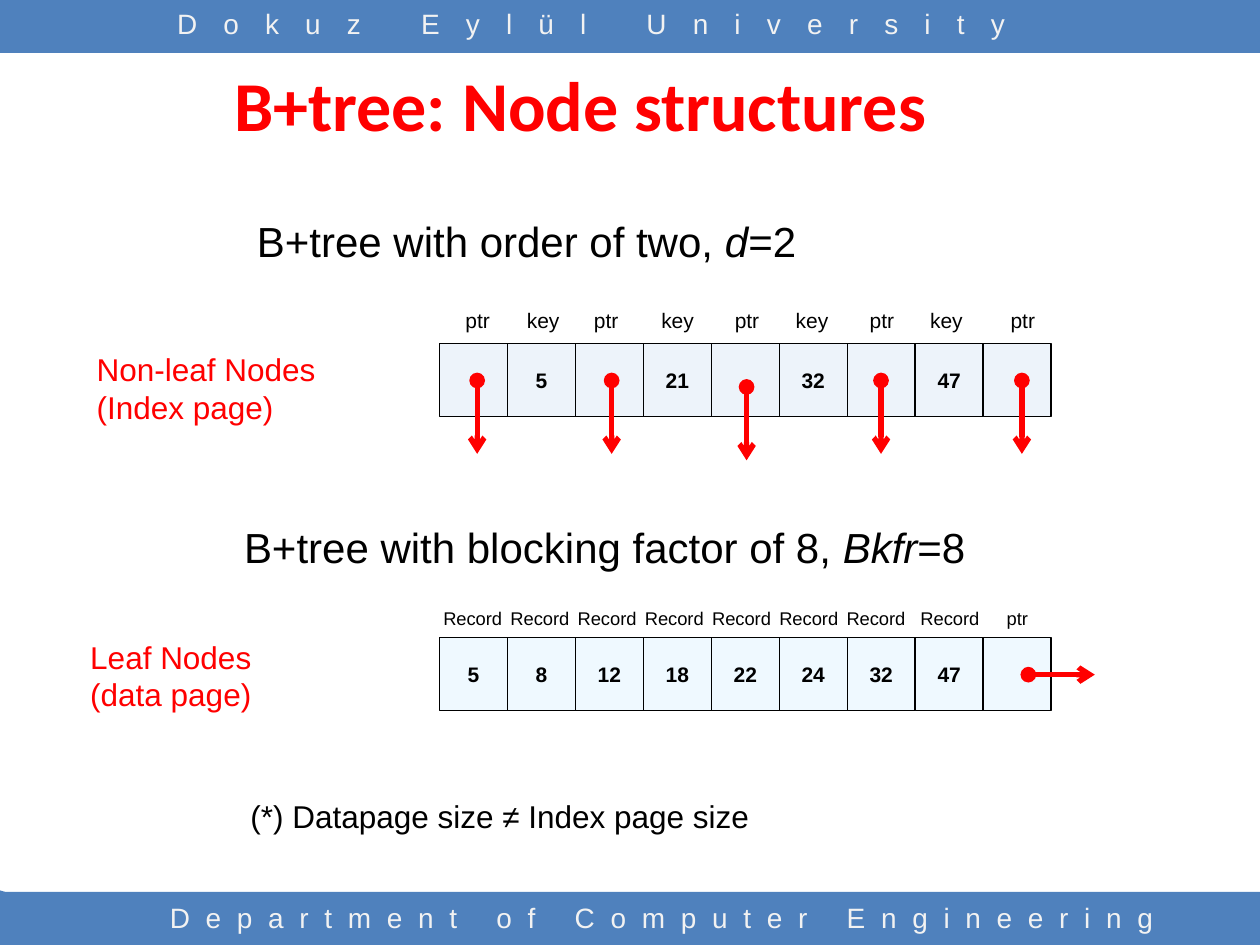
import pptx
import pptx.util
import pptx.dml.color
import pptx.enum.shapes
import pptx.enum.text
import pptx.oxml
import pptx.oxml.ns
import lxml.etree

Cm, Pt = pptx.util.Cm, pptx.util.Pt
RECT = pptx.enum.shapes.MSO_SHAPE.RECTANGLE
MID = pptx.enum.text.MSO_ANCHOR.MIDDLE
qn = pptx.oxml.ns.qn
BLUE, RED, BLACK, PALE = "4F81BD", "FF0000", "000000", "F2F2F2"


def paint(fill, color, alpha=None):
    """Set a solid colour; alpha is the opacity in percent."""
    fill.solid()
    fill.fore_color.rgb = pptx.dml.color.RGBColor.from_string(color)
    if alpha:
        clr = fill._xPr.find(qn("a:solidFill"))[0]
        lxml.etree.SubElement(clr, qn("a:alpha")).set("val", str(alpha * 1000))


def write(shape, lines, size, color, font="Arial", bold=False, center=True,
          gap=0):
    """Fill a shape with lines; *parts* between stars are italic."""
    frame = shape.text_frame
    frame.word_wrap = False
    frame.text = "\n".join(lines)
    for para in frame.paragraphs:
        para.alignment = (pptx.enum.text.PP_ALIGN.CENTER if center
                          else pptx.enum.text.PP_ALIGN.LEFT)
        parts = para.text.split("*")
        if len(parts) == 3 and parts[0] != "(":
            para.text = parts[0]
            for part in parts[1:]:
                para.add_run().text = part
            para.runs[1].font.italic = True
        for run in para.runs:
            run.font.name, run.font.size = font, Pt(size)
            run.font.bold = bold
            paint(run.font.fill, color)
            if gap:
                run._r.get_or_add_rPr().set("spc", str(gap * 100))


deck = pptx.Presentation()
deck.slide_width, deck.slide_height = Cm(25.4), Cm(19.05)
slide = deck.slides.add_slide(deck.slide_layouts[6])
shapes = slide.shapes

# Header and footer bars, with the footer's cut corners
bars = [shapes.add_shape(RECT, 0, Cm(top), Cm(25.4), Cm(1.07))
        for top in (0, 17.98)]
for points in (
    [(2.24, 18.01), (2.34, 18.01), (2.34, 19.05), (1.19, 19.05)],
    [(0, 17.95), (0.1, 17.98), (1.17, 19.05), (0, 19.05)],
):
    spots = [(Cm(x), Cm(y)) for x, y in points]
    pen = shapes.build_freeform(*spots[0])
    pen.add_line_segments(spots[1:], close=True)
    bars.append(pen.convert_to_shape())
for bar in bars:
    bar.shadow.inherit = False
    paint(bar.fill, BLUE)
    bar.line.fill.background()

for text, left, top, width, gap in (
    ("Department of Computer Engineering", 2.34, 18.03, 22.02, 9),
    ("Dokuz Eylül University", 1.65, 0, 20.55, 15),
):
    box = shapes.add_textbox(Cm(left), Cm(top), Cm(width), Cm(1.02))
    write(box, [text], 16, PALE, gap=gap)

title = shapes.add_textbox(Cm(1.22), Cm(0.89), Cm(20.96), Cm(2.41))
title.text_frame.vertical_anchor = MID
write(title, ["B+tree: Node structures"], 40, RED, "Calibri", bold=True)

# Headings, side labels and the closing remark
for lines, left, top, width, height, size, color in (
    (["Leaf Nodes", "(data page)"], 1.57, 12.73, 3.78, 1.8, 18, RED),
    (["Non-leaf Nodes", "(Index page)"], 1.7, 6.93, 4.98, 1.8, 18, RED),
    (["B+tree with order of two, *d*=2"],
     4.93, 4.22, 11.48, 1.27, 24, BLACK),
    (["B+tree with blocking factor of 8, *Bkfr*=8"],
     4.67, 10.39, 15.67, 1.27, 24, BLACK),
    (["(*) Datapage size ≠ Index page size"],
     4.8, 15.95, 10.62, 1.02, 18, BLACK),
):
    box = shapes.add_textbox(Cm(left), Cm(top), Cm(width), Cm(height))
    write(box, lines, size, color, center=False)

# Node cells
SIDE = 1.37
for top, color, keys in (
    (12.85, "CCECFF", ["5", "8", "12", "18", "22", "24", "32", "47", ""]),
    (6.93, "C6D9F1", ["", "5", "", "21", "", "32", "", "47", ""]),
):
    for col, key in enumerate(keys):
        cell = shapes.add_shape(RECT, Cm(8.86 + col * SIDE), Cm(top),
                                Cm(SIDE), Cm(1.47))
        cell.shadow.inherit = False
        paint(cell.fill, color, alpha=30)
        paint(cell.line.fill, BLACK)
        cell.line.width = Pt(0.75)
        cell.text_frame.vertical_anchor = MID
        if key:
            write(cell, [key], 12, BLACK, bold=True)

# Labels above the cells, placed by their centres
tags = [("Record", 9.53 + 1.355 * col, 12.12, 1.78, 10.5) for col in range(7)]
tags += [("Record", 19.15, 12.12, 1.78, 10.5), ("ptr", 20.51, 12.12, 0.94, 10.5)]
tags += [("key", 10.95 + 2.71 * col, 6.07, 1.17, 12) for col in range(4)]
tags += [("ptr", mid, 6.07, 1.02, 12)
         for mid in (9.63, 12.22, 15.06, 17.78, 20.62)]
for text, mid, top, width, size in tags:
    box = shapes.add_textbox(Cm(mid - width / 2), Cm(top), Cm(width), Cm(0.75))
    write(box, [text], size, BLACK)

# Pointers
links = [(x, y, x, y + 1.48) for x, y in (
    (9.62, 7.67), (12.33, 7.67), (15.05, 7.8), (17.76, 7.67), (20.6, 7.67))]
links.append((20.73, 13.6, 22.07, 13.6))
for ends in links:
    link = shapes.add_connector(pptx.enum.shapes.MSO_CONNECTOR.STRAIGHT,
                                *[Cm(end) for end in ends])
    paint(link.line.fill, RED)
    link.line.width = Pt(3)
    line = link.line._get_or_add_ln()
    for tag, kind in (("a:headEnd", "oval"), ("a:tailEnd", "arrow")):
        lxml.etree.SubElement(line, qn(tag)).set("type", kind)
    lxml.etree.SubElement(link._element.spPr, qn("a:effectLst"))

deck.save("out.pptx")
